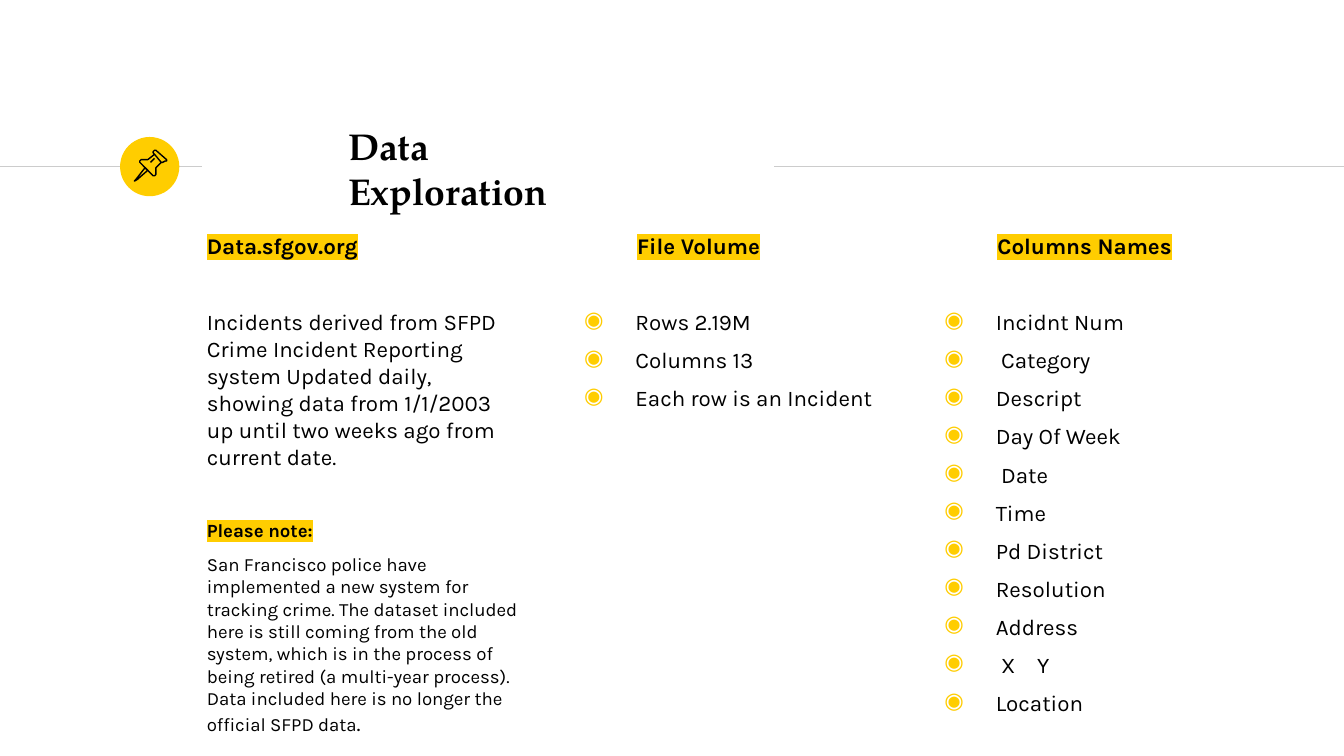
import pptx
import pptx.util
import pptx.dml.color
import pptx.enum.shapes
import pptx.enum.text
import pptx.oxml
import pptx.oxml.ns
from pptx.util import Cm

BLACK = pptx.dml.color.RGBColor(0x00, 0x00, 0x00)
YELLOW = pptx.dml.color.RGBColor(0xFF, 0xCD, 0x00)
GREY = pptx.dml.color.RGBColor(0xCC, 0xCC, 0xCC)
BODY_FONT = "Karla"
TITLE_FONT = "TeX Gyre Pagella"
GAP = 6
SECTION_GAP = 26.4

PIN_PARTS = [
    ([(8, 13), (1, 22), (0, 23), (2, 22), (10, 15)], True),
    ([(15, 3), (20, 9), (21, 9), (23, 8), (24, 8), (24, 7), (16, 0),
      (15, 0), (14, 1), (14, 2)], True),
    ([(15, 3), (10, 7), (9, 7), (7, 7), (5, 7), (4, 8), (4, 9), (14, 19),
      (15, 19), (16, 18), (16, 16), (16, 13), (20, 9)], False),
    ([(12, 9), (15, 6)], False),
]


def sub(parent, tag, **attrs):
    el = pptx.oxml.parse_xml(
        f"<a:{tag} {pptx.oxml.ns.nsdecls('a')}/>")
    for key, value in attrs.items():
        el.set(key, str(value))
    parent.append(el)
    return el


def add_run(p, text, size, bold=False, font=BODY_FONT, marked=False):
    r = p.add_run()
    r.text = text
    r.font.size = pptx.util.Pt(size)
    r.font.bold = bold
    r.font.color.rgb = BLACK
    if marked:
        sub(sub(r.font._element, "highlight"), "srgbClr", val=YELLOW)
    r.font.name = font


def add_box(s, x, y, w, h):
    tf = s.shapes.add_textbox(x, y, w, h).text_frame
    tf.word_wrap = True
    tf.margin_left = tf.margin_right = Cm(0.25)
    tf.margin_top = tf.margin_bottom = Cm(0.25)
    return tf


def add_paragraph(tf, before):
    p = tf.add_paragraph()
    p.space_before = pptx.util.Pt(before)
    return p


def add_rule(s, x1, x2, y):
    rule = s.shapes.add_connector(
        pptx.enum.shapes.MSO_CONNECTOR.STRAIGHT, x1, y, x2, y)
    rule.line.color.rgb = GREY
    rule.line.width = pptx.util.Pt(0.75)
    sub(rule._element.spPr, "effectLst")


def add_pin(s, x, y, w):
    group = s.shapes.add_group_shape()
    for points, closed in PIN_PARTS:
        builder = group.shapes.build_freeform(*points[0], scale=w / 24)
        builder.add_line_segments(points[1:], close=closed)
        sp = builder.convert_to_shape(x, y)
        sp.shadow.inherit = False
        sp.fill.background()
        sp.line.color.rgb = BLACK
        sp.line.width = pptx.util.Pt(0.75)


def add_header(s, x, y, w, h):
    middle = y + h // 2
    add_rule(s, x, x + Cm(3.81), middle)
    sp = s.shapes.add_shape(
        pptx.enum.shapes.MSO_SHAPE.OVAL, x + Cm(2.27), y, h, h)
    sp.shadow.inherit = False
    sp.fill.solid()
    sp.fill.fore_color.rgb = YELLOW
    sp.line.fill.background()
    add_rule(s, x + Cm(14.63), x + w, middle)
    add_pin(s, x + Cm(2.54), y + Cm(0.25), Cm(0.61))

    tf = add_box(s, x + Cm(6.33), y - Cm(0.03), Cm(5.9), Cm(1.22))
    tf.vertical_anchor = pptx.enum.text.MSO_ANCHOR.MIDDLE
    add_run(tf.paragraphs[0], "Data Exploration", 20, True, TITLE_FONT)


def add_source_column(s, x, y, w, h):
    tf = add_box(s, x, y, w, h)
    add_run(tf.paragraphs[0], "Data.sfgov.org", 12, True, marked=True)
    add_run(add_paragraph(tf, SECTION_GAP),
            "Incidents derived from SFPD Crime Incident Reporting system "
            "Updated daily, showing data from 1/1/2003 up until two weeks "
            "ago from current date.", 12)
    add_run(add_paragraph(tf, SECTION_GAP), "Please note:", 10, True,
            marked=True)
    p = add_paragraph(tf, GAP)
    add_run(p,
            "San Francisco police have implemented a new system for tracking "
            "crime. The dataset included here is still coming from the old "
            "system, which is in the process of being retired (a multi-year "
            "process). Data included here is no longer the official SFPD data",
            10)
    add_run(p, ".", 12)


def add_bullet_column(s, x, y, w, h, heading, items):
    tf = add_box(s, x, y, w, h)
    p = tf.paragraphs[0]
    p._p.get_or_add_pPr().set("marL", str(Cm(1.3)))
    add_run(p, heading, 12, True, marked=True)
    for i, item in enumerate(items):
        p = add_paragraph(tf, GAP if i else SECTION_GAP)
        pPr = p._p.get_or_add_pPr()
        pPr.set("marL", str(Cm(1.27)))
        pPr.set("indent", str(Cm(-0.97)))
        sub(sub(pPr, "buClr"), "srgbClr", val=YELLOW)
        sub(pPr, "buChar", char="◉")
        if "\t" in item:
            sub(sub(pPr, "tabLst"), "tab", pos=Cm(2.05), algn="l")
        add_run(p, item, 12)


def main():
    prs = pptx.Presentation()
    prs.slide_width, prs.slide_height = Cm(25.4), Cm(14.29)
    s = prs.slides.add_slide(prs.slide_layouts[6])
    add_header(s, 0, Cm(2.59), prs.slide_width, Cm(1.12))
    top, width, height = Cm(4.14), Cm(6.48), Cm(3.71)
    add_source_column(s, Cm(3.66), top, width, height)
    add_bullet_column(s, Cm(10.49), top, width, height, "File Volume",
                      ["Rows 2.19M", "Columns 13", "Each row is an Incident"])
    add_bullet_column(s, Cm(17.3), top, width, height, "Columns Names",
                      ["Incidnt Num", " Category", "Descript", "Day Of Week",
                       " Date", "Time", "Pd District", "Resolution",
                       "Address", " X\tY", "Location"])
    prs.save("out.pptx")


if __name__ == "__main__":
    main()
